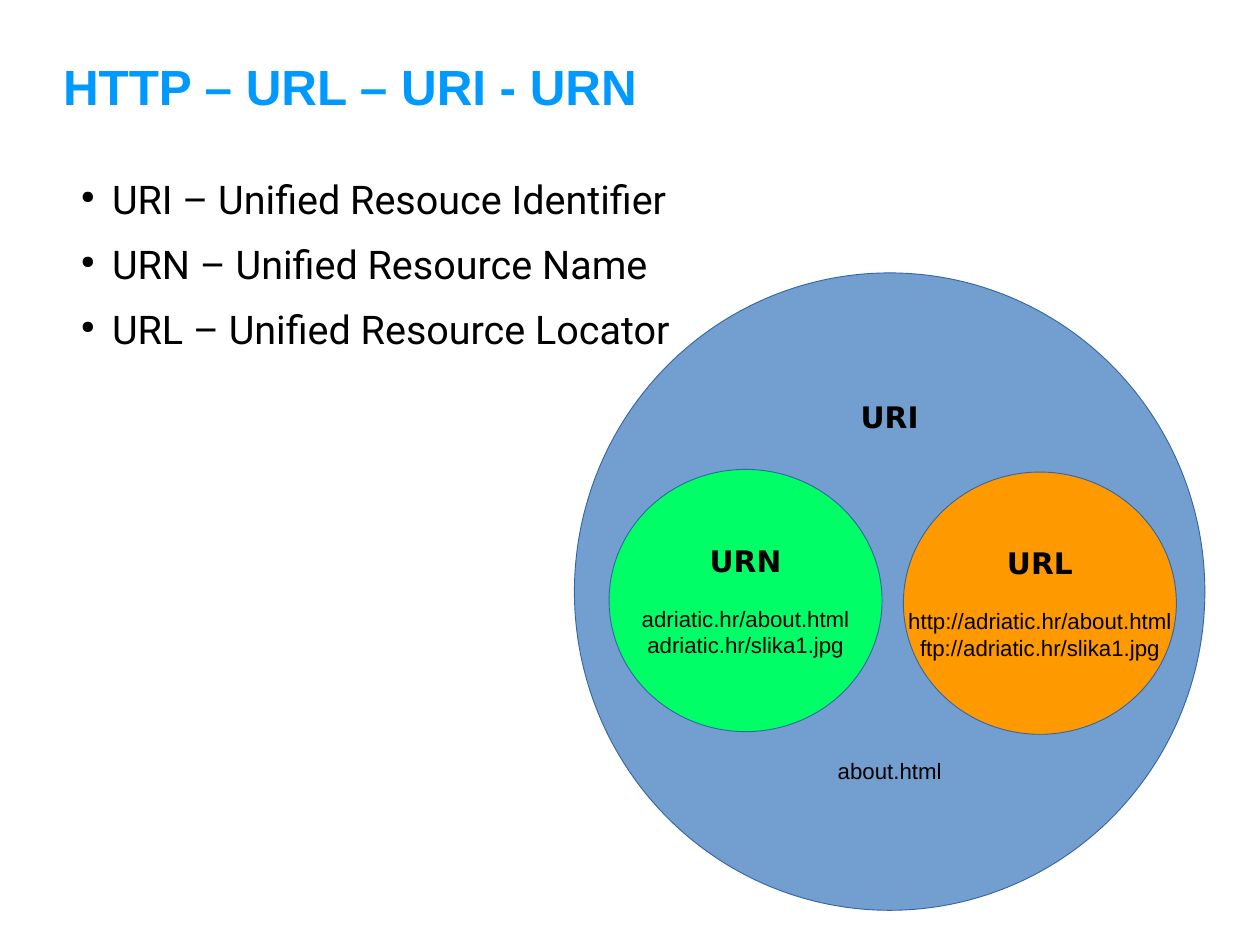
from lxml.etree import SubElement
from pptx import Presentation
from pptx.dml.color import RGBColor
from pptx.enum.shapes import MSO_SHAPE
from pptx.enum.text import MSO_ANCHOR, PP_ALIGN
from pptx.oxml.ns import qn
from pptx.util import Inches, Pt

TITLE = "HTTP – URL – URI - URN"
DEFINITIONS = [
    "URI – Unified Resouce Identifier",
    "URN – Unified Resource Name",
    "URL – Unified Resource Locator",
]
CIRCLES = [
    ("URI", ["about.html"], "729FCF", (6.46, 3.07, 7.09, 7.17), 261),
    ("URN", ["adriatic.hr/about.html", "adriatic.hr/slika1.jpg"],
     "00FF66", (6.85, 5.28, 3.07, 2.95), 21.75),
    ("URL", ["http://adriatic.hr/about.html", "ftp://adriatic.hr/slika1.jpg"],
     "FF9900", (10.16, 5.31, 3.07, 2.95), 21.75),
]
OUTLINE = "3465A4"
BLACK = "000000"


def color(value):
    return RGBColor.from_string(value)


def add_span(para, text, size, font, value=BLACK, bold=False):
    span = para.add_run()
    span.text = text
    span.font.size = Pt(size)
    span.font.name = font
    span.font.bold = bold
    span.font.color.rgb = color(value)


def next_para(frame, index):
    return frame.add_paragraph() if index else frame.paragraphs[0]


def clear_margins(frame):
    frame.margin_left = frame.margin_right = 0
    frame.margin_top = frame.margin_bottom = 0


def add_bullet(para):
    properties = para._p.get_or_add_pPr()
    properties.set("marL", str(Inches(0.47)))
    properties.set("indent", str(Inches(-0.35)))
    bullet_color = SubElement(properties, qn("a:buClr"))
    SubElement(bullet_color, qn("a:srgbClr"), val=BLACK)
    SubElement(properties, qn("a:buSzPct"), val="45000")
    SubElement(properties, qn("a:buChar"), char="●")


def add_title(page):
    title = page.shapes.title
    title.left, title.top = Inches(0.71), Inches(0.47)
    title.width, title.height = Inches(10.16), Inches(0.99)
    frame = title.text_frame
    clear_margins(frame)
    frame.vertical_anchor = MSO_ANCHOR.MIDDLE
    para = frame.paragraphs[0]
    para.alignment = PP_ALIGN.LEFT
    add_span(para, TITLE, 40, "Arial", "0099FF", True)


def add_definitions(page):
    box = page.shapes.add_textbox(Inches(0.79), Inches(1.97), Inches(12.76), Inches(7.87))
    frame = box.text_frame
    frame.word_wrap = True
    clear_margins(frame)
    for index, definition in enumerate(DEFINITIONS):
        para = next_para(frame, index)
        add_bullet(para)
        if index:
            para.space_before = Pt(14.2)
        add_span(para, definition, 32, "Roboto")


def add_circle(page, name, examples, fill, place, gap):
    circle = page.shapes.add_shape(MSO_SHAPE.OVAL, *map(Inches, place))
    circle.shadow.inherit = False
    circle.fill.solid()
    circle.fill.fore_color.rgb = color(fill)
    circle.line.color.rgb = color(OUTLINE)
    circle.line.width = Pt(0)
    frame = circle.text_frame
    frame.word_wrap = False
    frame.vertical_anchor = MSO_ANCHOR.MIDDLE
    for index, text in enumerate([name, *examples]):
        para = next_para(frame, index)
        para.alignment = PP_ALIGN.CENTER
        if index == 0:
            add_span(para, text, 24, "DejaVu Sans", bold=True)
        else:
            add_span(para, text, 18, "Arial")
        if index == 1:
            para.space_before = Pt(gap)


def main():
    deck = Presentation()
    deck.slide_width, deck.slide_height = Inches(14.17), Inches(10.63)
    page = deck.slides.add_slide(deck.slide_layouts[5])
    add_title(page)
    add_definitions(page)
    for circle in CIRCLES:
        add_circle(page, *circle)
    deck.save("out.pptx")


if __name__ == "__main__":
    main()
